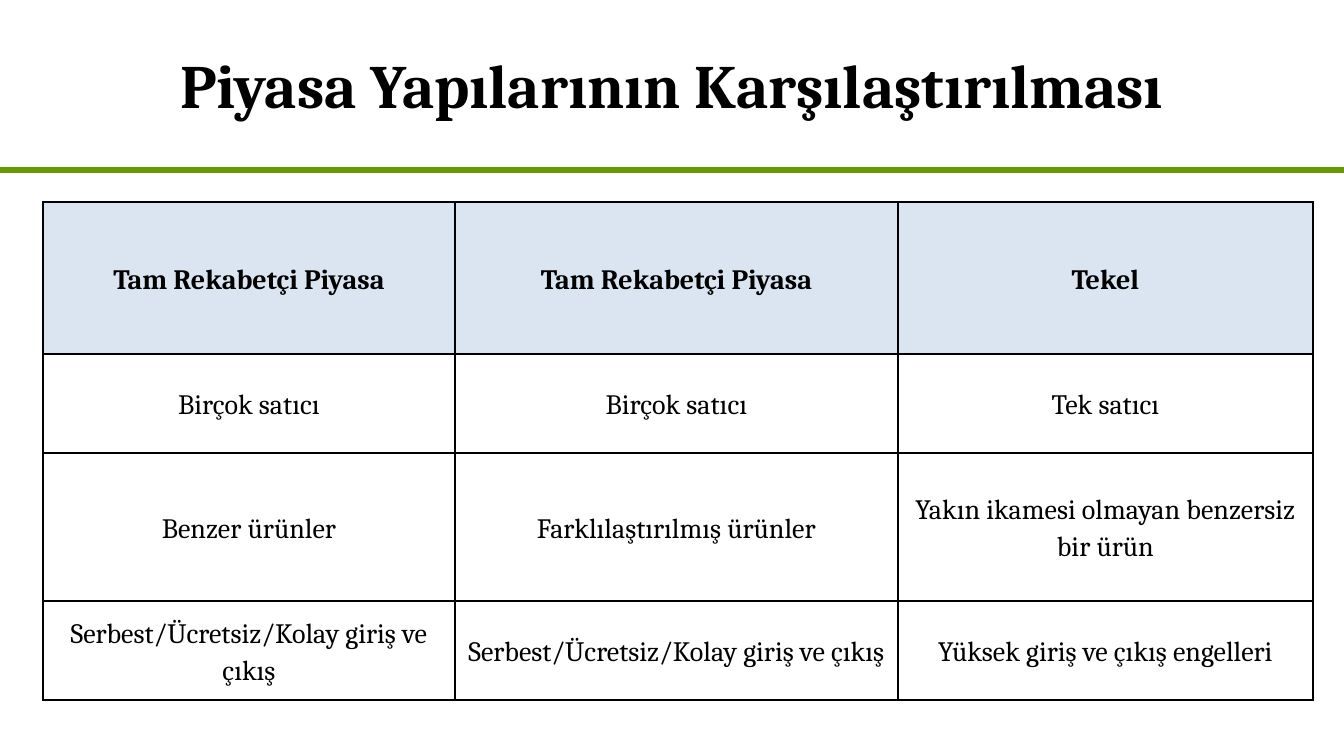
from lxml import etree
from pptx import Presentation
from pptx.dml.color import RGBColor
from pptx.enum.shapes import MSO_CONNECTOR
from pptx.enum.text import MSO_ANCHOR, PP_ALIGN
from pptx.oxml import parse_xml
from pptx.oxml.ns import nsdecls, qn
from pptx.util import Pt

EMU_PER_PX = 914400 / 100.8
PAGE_WIDTH, PAGE_HEIGHT = 1344, 756
BLACK = RGBColor(0x00, 0x00, 0x00)
GREEN = RGBColor(0x66, 0x99, 0x00)
PALE_BLUE = RGBColor(0xDB, 0xE5, 0xF1)

TITLE = "Piyasa Yapılarının Karşılaştırılması"
MARKETS = [
    ["Tam Rekabetçi Piyasa", "Tam Rekabetçi Piyasa", "Tekel"],
    ["Birçok satıcı", "Birçok satıcı", "Tek satıcı"],
    ["Benzer ürünler", "Farklılaştırılmış ürünler",
     "Yakın ikamesi olmayan benzersiz bir ürün"],
    ["Serbest/Ücretsiz/Kolay giriş ve çıkış",
     "Serbest/Ücretsiz/Kolay giriş ve çıkış",
     "Yüksek giriş ve çıkış engelleri"],
]
COLUMN_WIDTHS = [412, 443, 415]
ROW_HEIGHTS = [152, 99, 148, 99]


def px(length):
    return round(length * EMU_PER_PX)


def write(frame, text, size=20, bold=False, color=BLACK, font="Cambria", spacing=None):
    paragraph = frame.paragraphs[0]
    paragraph.alignment = PP_ALIGN.CENTER
    paragraph.line_spacing = spacing
    span = paragraph.add_run()
    span.text = text
    span.font.name = font
    span.font.size = Pt(size)
    span.font.bold = bold
    span.font.color.rgb = color


def add_borders(cell, color=BLACK, width=1):
    """Draw all four edges; they must come before the fill in the cell XML."""
    properties = cell._tc.get_or_add_tcPr()
    for position, edge in enumerate(("lnL", "lnR", "lnT", "lnB")):
        properties.insert(position, parse_xml(
            f'<a:{edge} {nsdecls("a")} w="{Pt(width)}"><a:solidFill>'
            f'<a:srgbClr val="{color}"/></a:solidFill></a:{edge}>'))


class Page:
    """Holds the current slide and draws its elements in pixels."""

    def __init__(self, deck):
        self.shapes = deck.slides.add_slide(deck.slide_layouts[6]).shapes

    def rule(self, y, color, width):
        line = self.shapes.add_connector(
            MSO_CONNECTOR.STRAIGHT, 0, px(y), px(PAGE_WIDTH), px(y))
        line.line.color.rgb = color
        line.line.width = Pt(width)
        etree.SubElement(line._element.spPr, qn("a:effectLst"))

    def title(self, text, left, top, width, height):
        box = self.shapes.add_textbox(px(left), px(top), px(width), px(height))
        frame = box.text_frame
        frame.word_wrap = True
        frame.vertical_anchor = MSO_ANCHOR.MIDDLE
        write(frame, text, size=44, bold=True)

    def table(self, rows, left, top, widths, heights):
        table = self.shapes.add_table(
            len(rows), len(widths), px(left), px(top),
            px(sum(widths)), px(sum(heights))).table
        table.first_row = table.horz_banding = False
        for column, width in zip(table.columns, widths):
            column.width = px(width)
        for row, height, texts in zip(table.rows, heights, rows):
            row.height = px(height)
            is_header = texts is rows[0]
            for cell, text in zip(row.cells, texts):
                self.cell(cell, text, is_header)

    def cell(self, cell, text, is_header):
        cell.vertical_anchor = MSO_ANCHOR.MIDDLE
        cell.margin_left = cell.margin_right = px(10)
        cell.margin_top = cell.margin_bottom = 0
        if is_header:
            cell.fill.solid()
            cell.fill.fore_color.rgb = PALE_BLUE
        else:
            cell.fill.background()
        add_borders(cell)
        write(cell.text_frame, text, bold=is_header, spacing=1.15)


def main():
    deck = Presentation()
    deck.slide_width, deck.slide_height = px(PAGE_WIDTH), px(PAGE_HEIGHT)
    page = Page(deck)
    page.rule(170, GREEN, 4.5)
    page.title(TITLE, 67, 0, 1210, 168)
    page.table(MARKETS, 43, 202, COLUMN_WIDTHS, ROW_HEIGHTS)
    deck.save("out.pptx")


if __name__ == "__main__":
    main()
